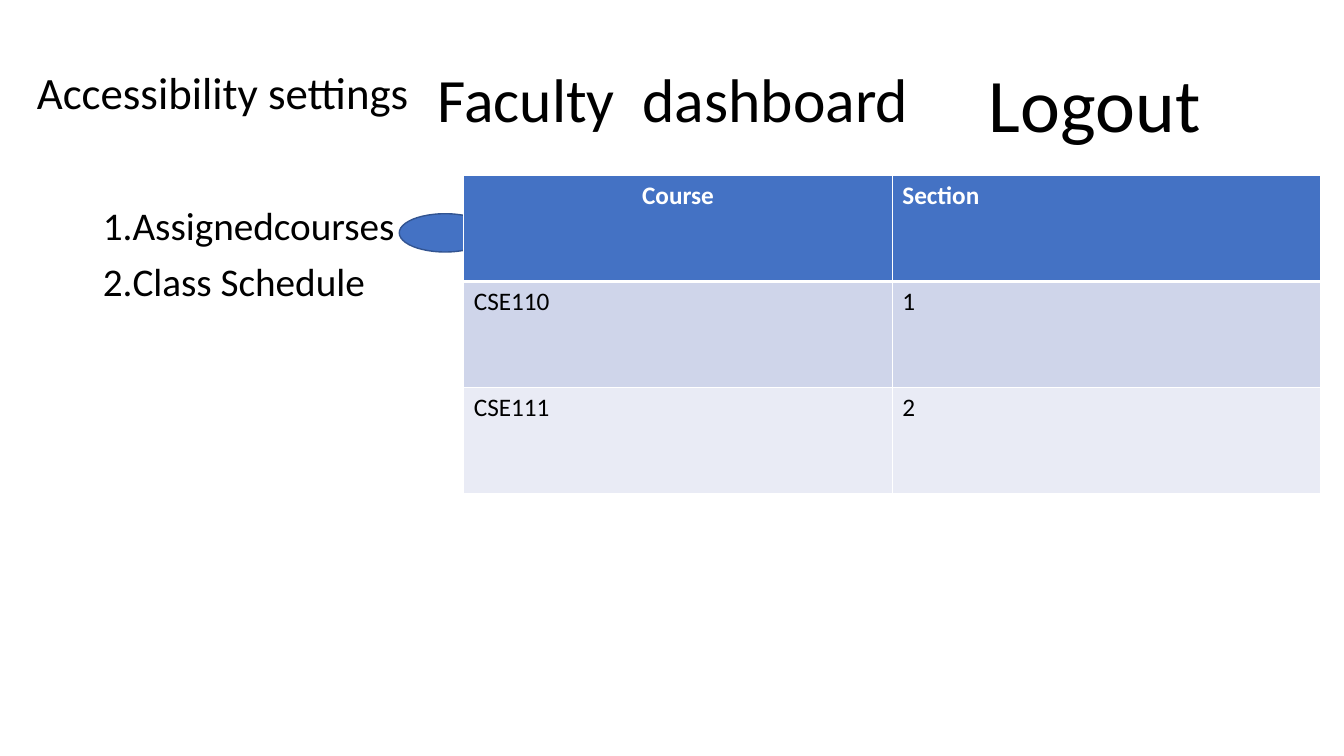
from dataclasses import dataclass

from lxml import etree
from pptx import Presentation
from pptx.dml.color import RGBColor
from pptx.enum import shapes, text
from pptx.oxml import ns
from pptx.util import Inches, Pt


@dataclass(frozen=True)
class Theme:
    font: str = "Calibri"
    ink: str = "000000"
    white: str = "FFFFFF"
    accent: str = "4472C4"
    outline: str = "325491"
    bands: tuple = ("CFD5EA", "E9EBF5")
    title: int = 44
    logout: int = 54
    settings: int = 32
    menu: int = 28
    cell: int = 18


THEME = Theme()
LEFT, CENTER = text.PP_ALIGN.LEFT, text.PP_ALIGN.CENTER
COURSES = [("Course", "Section"), ("CSE110", "1"), ("CSE111", "2")]


def rgb(value):
    return RGBColor.from_string(value)


def format_paragraph(p, size, color=THEME.ink, bold=False, align=LEFT, spacing=1.0):
    p.alignment = align
    p.line_spacing = spacing
    for r in p.runs:
        r.font.name, r.font.size, r.font.bold = THEME.font, Pt(size), bold
        r.font.color.rgb = rgb(color)


def place(s, box):
    s.left, s.top, s.width, s.height = (Inches(v) for v in box)


def prepare_frame(s, anchor):
    tf = s.text_frame
    tf.word_wrap = True
    tf.auto_size = text.MSO_AUTO_SIZE.NONE
    tf.vertical_anchor = anchor
    return tf


def add_title(slide, box):
    s = slide.shapes.title
    place(s, box)
    tf = prepare_frame(s, text.MSO_ANCHOR.MIDDLE)
    tf.text = "Faculty  dashboard"
    format_paragraph(tf.paragraphs[0], THEME.title, spacing=0.9)


def add_menu(slide, box):
    """Numbered list of the dashboard's pages."""
    s = slide.placeholders[1]
    place(s, box)
    tf = prepare_frame(s, text.MSO_ANCHOR.TOP)
    tf.text = "Assignedcourses\nClass Schedule"
    indent = Inches(0.25)
    for p in tf.paragraphs:
        format_paragraph(p, THEME.menu, spacing=0.9)
        p.space_before = Pt(10)
        pPr = p._p.get_or_add_pPr()
        pPr.set("marL", str(indent))
        pPr.set("indent", str(-indent))
        etree.SubElement(pPr, ns.qn("a:buFont"), typeface=THEME.font)
        etree.SubElement(pPr, ns.qn("a:buAutoNum"), type="arabicPeriod")


def add_label(slide, box, label, size, anchor=text.MSO_ANCHOR.TOP, **style):
    s = slide.shapes.add_textbox(*(Inches(v) for v in box))
    tf = prepare_frame(s, anchor)
    tf.text = label
    format_paragraph(tf.paragraphs[0], size, **style)


def add_marker(slide, box):
    s = slide.shapes.add_shape(shapes.MSO_SHAPE.OVAL, *(Inches(v) for v in box))
    s.shadow.inherit = False
    s.fill.solid()
    s.fill.fore_color.rgb = rgb(THEME.accent)
    s.line.color.rgb = rgb(THEME.outline)
    s.line.width = Pt(1)


def set_borders(cell, bottom):
    tcPr = cell._tc.get_or_add_tcPr()
    for i, (side, width) in enumerate((("L", 1), ("R", 1), ("T", 1), ("B", bottom))):
        ln = etree.Element(ns.qn(f"a:ln{side}"), w=str(Pt(width)))
        fill = etree.SubElement(ln, ns.qn("a:solidFill"))
        etree.SubElement(fill, ns.qn("a:srgbClr"), val=THEME.white)
        tcPr.insert(i, ln)


def add_course_table(slide, box):
    table = slide.shapes.add_table(len(COURSES), len(COURSES[0]),
                                   *(Inches(v) for v in box)).table
    for i, row in enumerate(COURSES):
        header = i == 0
        for j, value in enumerate(row):
            cell = table.cell(i, j)
            cell.text = value
            cell.fill.solid()
            cell.fill.fore_color.rgb = rgb(THEME.accent if header else THEME.bands[i - 1])
            format_paragraph(cell.text_frame.paragraphs[0], THEME.cell,
                             color=THEME.white if header else THEME.ink, bold=header,
                             align=CENTER if header and j == 0 else LEFT)
            # The row under the header shares its thick rule.
            set_borders(cell, bottom=3 if header else 1)
            if i == 1:
                cell._tc.tcPr.find(ns.qn("a:lnT")).set("w", str(Pt(3)))


def build_dashboard(prs):
    slide = prs.slides.add_slide(prs.slide_layouts[1])
    add_title(slide, (4.24, 0.29, 5.26, 1.45))
    add_menu(slide, (0.92, 2, 3.48, 2.9))
    add_label(slide, (9.71, 0.52, 3.29, 1.01), "Logout", THEME.logout)
    add_label(slide, (-0.18, 0.47, 4.78, 0.76), "Accessibility settings", THEME.settings,
              anchor=text.MSO_ANCHOR.BOTTOM, align=CENTER, spacing=0.9)
    add_marker(slide, (3.96, 2.12, 0.91, 0.38))
    add_course_table(slide, (4.6, 1.74, 8.5, 3.16))


def main():
    prs = Presentation()
    prs.slide_width, prs.slide_height = Inches(13.33), Inches(7.5)
    build_dashboard(prs)
    prs.save("out.pptx")


if __name__ == "__main__":
    main()
